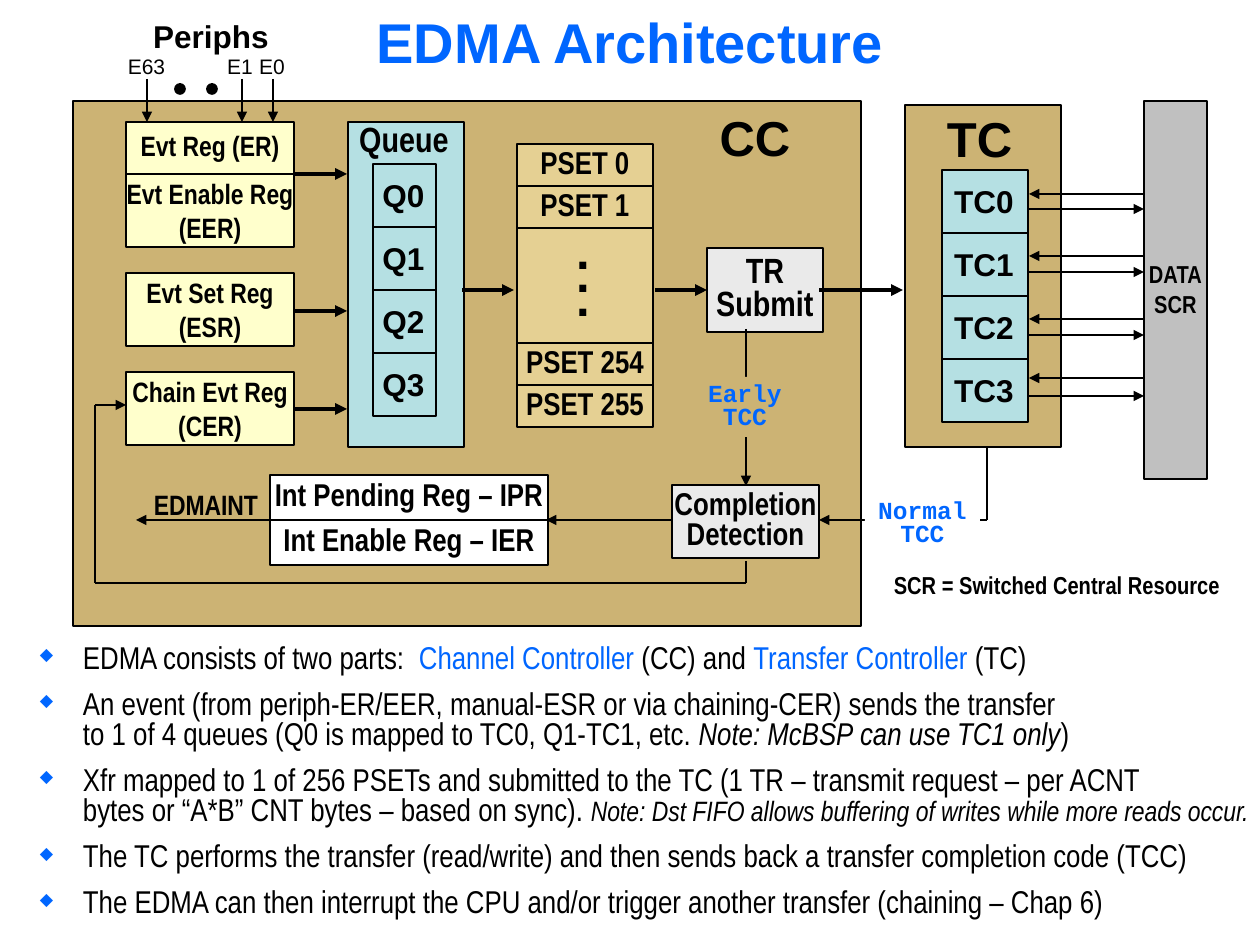
import pptx
import pptx.dml.color
import pptx.enum.shapes
import pptx.enum.text
import pptx.oxml.ns
import pptx.util
from lxml import etree

EMU_PER_PX = 914400 / 126
COLORS = {
    "black": "000000", "white": "FFFFFF", "blue": "0066FF", "tan": "CCB374",
    "sand": "E5D093", "cream": "FFFFCC", "aqua": "B5E0E3", "pale": "EAEAEA",
    "gray": "C0C0C0",
}
ARIAL, NARROW, MONO = "Arial", "Arial Narrow", "Courier New"
SHAPES = pptx.enum.shapes.MSO_SHAPE
ANCHOR = pptx.enum.text.MSO_ANCHOR
ALIGN = pptx.enum.text.PP_ALIGN


def px(length):
    return pptx.util.Emu(round(length * EMU_PER_PX))


def rgb(name):
    return pptx.dml.color.RGBColor.from_string(COLORS[name])


def add_xml(parent, tag, **attributes):
    return etree.SubElement(parent, pptx.oxml.ns.qn(tag), attributes)


def style_font(font, name, size, color="black", bold=False):
    font.name, font.size, font.bold = name, pptx.util.Pt(size), bold
    font.color.rgb = rgb(color)


def set_margins(frame, top=0, right=0):
    frame.margin_left = frame.margin_bottom = 0
    frame.margin_top, frame.margin_right = px(top), px(right)


def write_text(shape, text, name, size, color="black", bold=True, spacing=0.8,
               anchor=ANCHOR.MIDDLE, top=0, right=0):
    """Write one centred paragraph; a newline in the text is a line break."""
    frame = shape.text_frame
    frame.word_wrap = False
    frame.vertical_anchor = anchor
    set_margins(frame, top, right)
    para = frame.paragraphs[0]
    para.text = text
    para.alignment = ALIGN.CENTER
    para.line_spacing = spacing
    style_font(para.font, name, size, color, bold)


def add_box(slide, bounds, fill, kind=SHAPES.RECTANGLE, outlined=True):
    box = slide.shapes.add_shape(kind, *map(px, bounds))
    box.shadow.inherit = False
    box.fill.solid()
    box.fill.fore_color.rgb = rgb(fill)
    if outlined:
        box.line.color.rgb = rgb("black")
        box.line.width = pptx.util.Pt(1)
    else:
        box.line.fill.background()
    return box


def add_label(slide, bounds, *text_style, **options):
    label = slide.shapes.add_textbox(*map(px, bounds))
    write_text(label, *text_style, **options)


def add_line(slide, start, end, width=1, arrow=True):
    """Draw a line, with an arrowhead at its end unless arrow is False."""
    line = slide.shapes.add_connector(
        pptx.enum.shapes.MSO_CONNECTOR.STRAIGHT, *map(px, start + end))
    line.line.color.rgb = rgb("black")
    line.line.width = pptx.util.Pt(width)
    if arrow:
        add_xml(line.line._get_or_add_ln(), "a:tailEnd", type="triangle")
    add_xml(line._element.spPr, "a:effectLst")


def add_title(slide):
    title = slide.shapes.title
    title.left, title.top, title.width, title.height = map(px, (0, 0, 1260, 102))
    write_text(title, "EDMA Architecture", ARIAL, 32, "blue", spacing=1,
               anchor=ANCHOR.TOP, top=7)


def add_event_registers(slide):
    for text, top, height, spacing in (
            ("Evt Reg (ER)", 122, 53, 0.8), ("Evt Enable Reg\n(EER)", 174, 73, 1),
            ("Evt Set Reg\n(ESR)", 273, 73, 1), ("Chain Evt Reg\n(CER)", 372, 73, 1)):
        box = add_box(slide, (126, top, 168, height), "cream")
        write_text(box, text, NARROW, 16, spacing=spacing)


def add_stack(slide, prefix, left, top, width):
    """Stack four numbered cells."""
    for index in range(4):
        cell = add_box(slide, (left, top + 63 * index, width, 63), "aqua")
        write_text(cell, f"{prefix}{index}", ARIAL, 18, top=5, right=2)


def add_parameter_sets(slide):
    for text, top in (("PSET 0", 144), ("PSET 1", 186),
                      ("PSET 254", 343), ("PSET 255", 385)):
        write_text(add_box(slide, (517, top, 136, 42), "sand"), text, NARROW, 18)
    gap = add_box(slide, (517, 228, 136, 115), "sand")
    write_text(gap, ".\n.\n.", ARIAL, 28, spacing=0.4, right=4)


def add_data_bus(slide):
    bar = add_box(slide, (1144, 101, 63, 378), "gray")
    write_text(bar, "DATA", NARROW, 14, spacing=0.6, top=6)
    para = bar.text_frame.add_paragraph()
    para.text = "SCR"
    para.alignment = ALIGN.CENTER
    para.line_spacing = 0.6
    para.space_before = pptx.util.Pt(7)
    style_font(para.font, NARROW, 14, bold=True)


def add_blocks(slide):
    add_box(slide, (73, 101, 788, 525), "tan")
    add_event_registers(slide)
    queue = add_box(slide, (348, 122, 116, 325), "aqua")
    write_text(queue, "Queue", NARROW, 20, anchor=ANCHOR.TOP, top=4, right=4)
    add_stack(slide, "Q", 373, 164, 63)
    add_parameter_sets(slide)
    for text, bounds, fill, size in (
            ("TR\nSubmit", (707, 248, 116, 84), "pale", 20),
            ("Completion\nDetection", (672, 485, 147, 73), "pale", 18),
            ("Int Pending Reg – IPR", (270, 475, 278, 45), "white", 18),
            ("Int Enable Reg – IER", (270, 520, 278, 45), "white", 18)):
        write_text(add_box(slide, bounds, fill), text, NARROW, size)
    controller = add_box(slide, (905, 105, 156, 342), "tan")
    write_text(controller, "TC", ARIAL, 28, anchor=ANCHOR.TOP, top=15, right=7)
    add_stack(slide, "TC", 942, 170, 86)
    add_data_bus(slide)


def add_lines(slide):
    for left, right, y in ((294, 347, 174), (294, 347, 311), (294, 347, 409),
                           (462, 514, 290), (655, 707, 290), (819, 903, 290)):
        add_line(slide, (left, y), (right, y), 2.25)
    for x in (147, 242, 273):
        add_line(slide, (x, 79), (x, 122))
    for read_y, write_y in ((194, 209), (256, 272), (319, 335), (378, 396)):
        add_line(slide, (1144, read_y), (1029, read_y))
        add_line(slide, (1029, write_y), (1144, write_y))
    for start, end in (((987, 520), (819, 520)), ((672, 520), (546, 520)),
                       ((273, 520), (136, 520)), ((95, 405), (126, 405)),
                       ((746, 329), (746, 486))):
        add_line(slide, start, end)
    for start, end in (((987, 447), (987, 520)), ((746, 561), (746, 583)),
                       ((746, 583), (95, 583)), ((95, 405), (95, 583))):
        add_line(slide, start, end, arrow=False)


def add_labels(slide):
    add_label(slide, (141, 18, 140, 43), "Periphs", ARIAL, 18)
    for text, left, width in (("E63", 115, 63), ("E1", 215, 50), ("E0", 247, 50)):
        add_label(slide, (left, 52, width, 33), text, ARIAL, 12, bold=False)
    for left in (175, 207):
        add_box(slide, (left, 84, 10, 10), "black", SHAPES.OVAL)
    add_label(slide, (707, 113, 96, 59), "CC", ARIAL, 28)
    add_label(slide, (141, 488, 130, 39), "EDMAINT", NARROW, 16)
    add_label(slide, (880, 569, 354, 37), "SCR = Switched Central Resource", NARROW, 14)
    for text, bounds, fill in (("Early\nTCC", (695, 377, 100, 60), "tan"),
                               ("Normal\nTCC", (865, 494, 115, 60), "white")):
        write_text(add_box(slide, bounds, fill, outlined=False), text, MONO, 14, "blue")


def add_bullet(para):
    properties = para._p.get_or_add_pPr()
    properties.set("marL", str(px(43)))
    properties.set("indent", str(px(-43)))
    add_xml(add_xml(properties, "a:buClr"), "a:srgbClr", val=COLORS["blue"])
    add_xml(properties, "a:buSzPct", val="55000")
    add_xml(properties, "a:buChar", char="◆")


def add_notes_list(slide):
    """Write the bullets; each run is its text and a kind of emphasis."""
    points = (
        (("EDMA consists of two parts:  ", ""), ("Channel Controller", "blue"),
         (" (CC) and ", ""), ("Transfer Controller", "blue"), (" (TC)", "")),
        (("An event (from periph-ER/EER, manual-ESR or via chaining-CER) sends the transfer\n"
          "to 1 of 4 queues (Q0 is mapped to TC0, Q1-TC1, etc. ", ""),
         ("Note: McBSP can use TC1 only", "italic"), (")", "")),
        (("Xfr mapped to 1 of 256 PSETs and submitted to the TC (1 TR – transmit request – per ACNT\n"
          "bytes or “A*B” CNT bytes – based on sync). ", ""),
         ("Note: Dst FIFO allows buffering of writes while more reads occur.", "small italic")),
        (("The TC performs the transfer (read/write) and then sends back "
          "a transfer completion code (TCC)", ""),),
        (("The EDMA can then interrupt the CPU and/or trigger another transfer "
          "(chaining – Chap 6)", ""),),
    )
    frame = slide.shapes.add_textbox(*map(px, (40, 630, 1220, 305))).text_frame
    frame.word_wrap = True
    frame.vertical_anchor = ANCHOR.MIDDLE
    set_margins(frame)
    for index, runs in enumerate(points):
        para = frame.add_paragraph() if index else frame.paragraphs[0]
        add_bullet(para)
        para.line_spacing = 0.8
        para.space_after = pptx.util.Pt(9)
        style_font(para.font, NARROW, 18)
        for text, emphasis in runs:
            for number, line in enumerate(text.split("\n")):
                if number:
                    para.add_line_break()
                span = para.add_run()
                span.text = line
                if "blue" in emphasis:
                    span.font.color.rgb = rgb("blue")
                if "italic" in emphasis:
                    span.font.italic = True
                if "small" in emphasis:
                    span.font.size = pptx.util.Pt(16)


def main():
    deck = pptx.Presentation()
    deck.slide_width, deck.slide_height = px(1260), px(945)
    slide = deck.slides.add_slide(deck.slide_layouts[5])
    add_title(slide)
    add_blocks(slide)
    add_lines(slide)
    add_labels(slide)
    add_notes_list(slide)
    deck.save("out.pptx")


if __name__ == "__main__":
    main()
